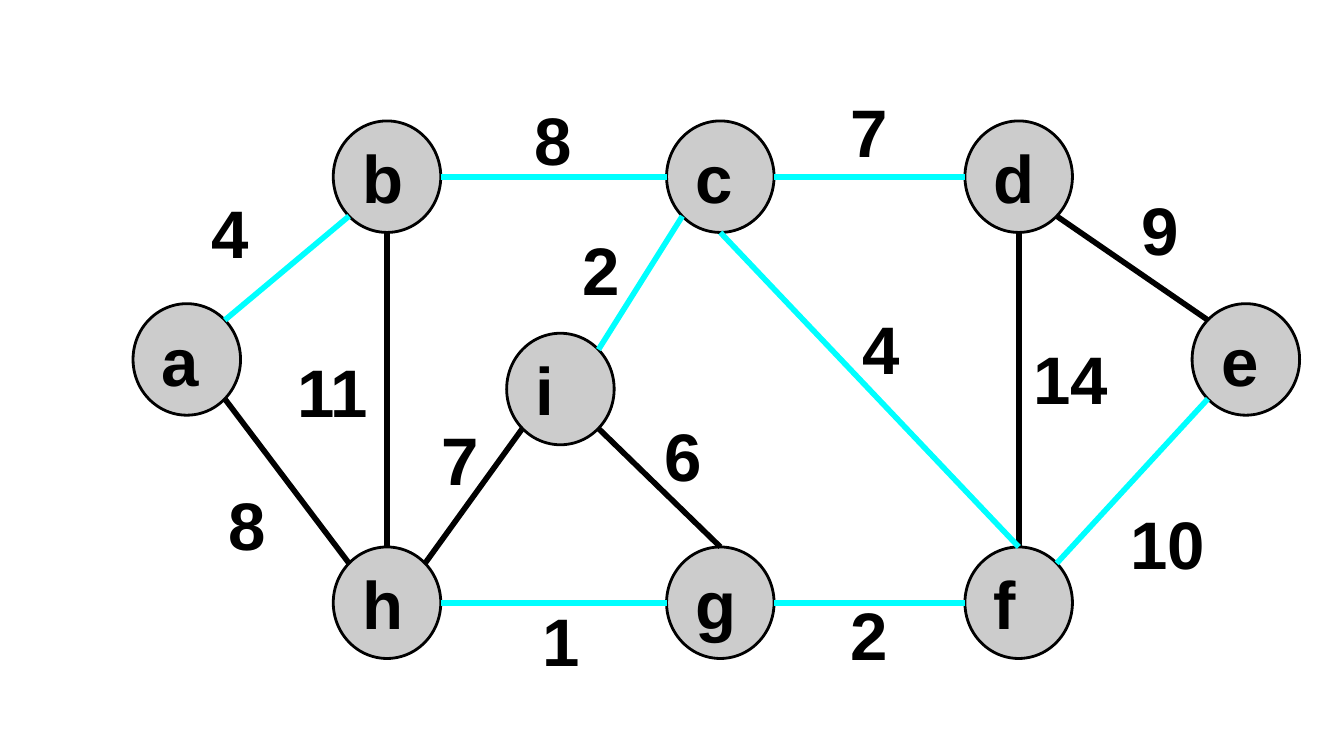
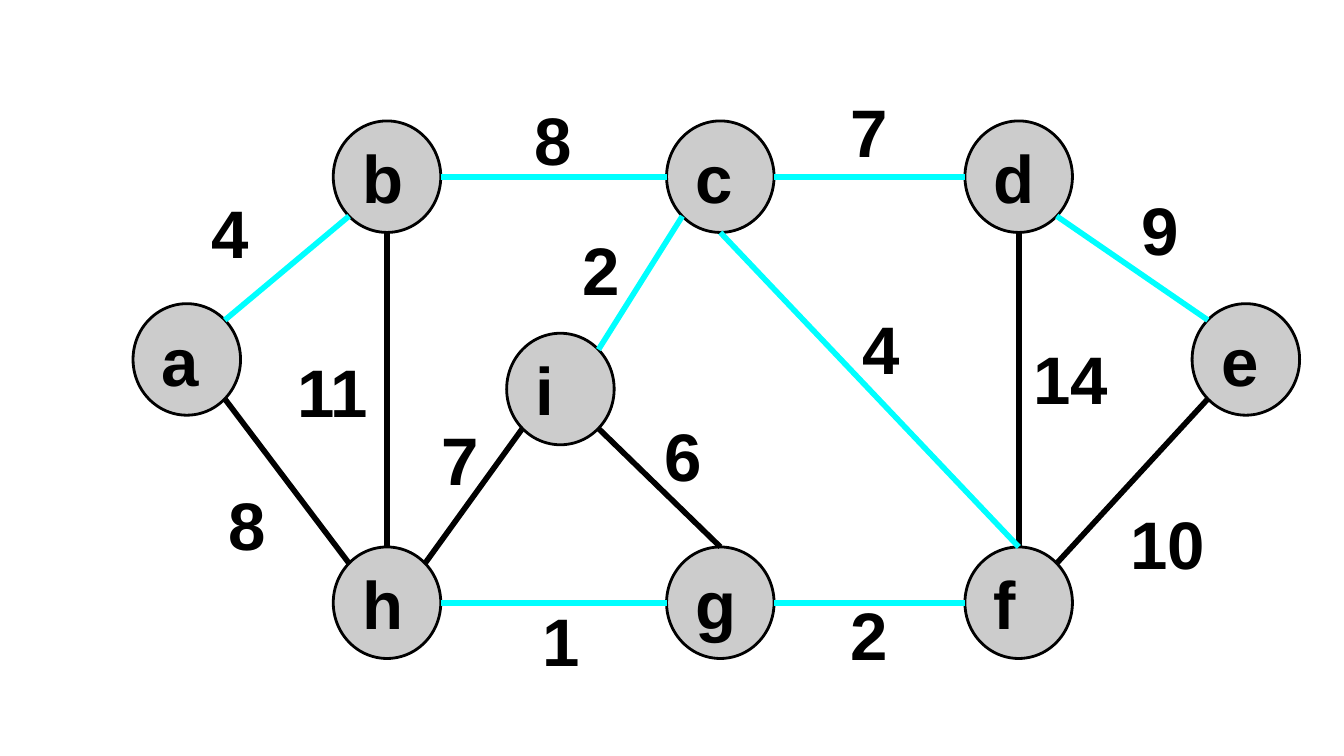
from dataclasses import dataclass
from math import sqrt

from lxml.etree import SubElement
from pptx import Presentation
from pptx.dml.color import RGBColor
from pptx.enum.shapes import MSO_CONNECTOR, MSO_SHAPE
from pptx.enum.text import MSO_ANCHOR, PP_ALIGN
from pptx.oxml.ns import qn
from pptx.util import Inches, Pt


@dataclass(frozen=True)
class Theme:
    font: str = "Arial"
    size: Pt = Pt(36)
    ink: RGBColor = RGBColor(0x00, 0x00, 0x00)
    node: RGBColor = RGBColor(0xCC, 0xCC, 0xCC)
    tree: RGBColor = RGBColor(0x00, 0xFF, 0xFF)
    outline: Pt = Pt(1.5)
    edge: Pt = Pt(3)
    inset: Inches = Inches(0.1)


THEME = Theme()
GRAPH_LEFT, GRAPH_TOP = 0.99, 0.9
NODE_W, NODE_H = 0.8, 0.83

# Columns and rows of the graph, measured from its top left corner
X_A, X_B, X_I, X_C, X_D, X_E = 0, 1.49, 2.78, 3.97, 6.19, 7.88
Y_TOP, Y_SIDE, Y_INNER, Y_BOTTOM = 0, 1.36, 1.58, 3.17
NODES = {
    "b": (X_B, Y_TOP), "a": (X_A, Y_SIDE), "h": (X_B, Y_BOTTOM),
    "g": (X_C, Y_BOTTOM), "c": (X_C, Y_TOP), "i": (X_I, Y_INNER),
    "d": (X_D, Y_TOP), "f": (X_D, Y_BOTTOM), "e": (X_E, Y_SIDE),
}

# Points on a node's rim, as fractions of its half width and half height
DIAG = sqrt(0.5)
RIM = {
    "N": (0, -1), "S": (0, 1), "W": (-1, 0), "E": (1, 0),
    "NW": (-DIAG, -DIAG), "NE": (DIAG, -DIAG),
    "SW": (-DIAG, DIAG), "SE": (DIAG, DIAG),
}

# Edge: rim point at each end, weight, box of the weight
EDGES = {
    "ab": ("NE", "SW", 4, (0.32, 0.42, 0.8, 0.69)),
    "ah": ("SE", "NW", 8, (0.6, 2.58, 0.5, 0.83)),
    "bh": ("S", "N", 11, (1.12, 1.62, 0.73, 0.77)),
    "bc": ("E", "W", 8, (2.76, -0.31, 0.73, 0.88)),
    "cd": ("E", "W", 7, (5.01, -0.27, 0.93, 0.69)),
    "de": ("SE", "NW", 9, (7.19, 0.42, 0.9, 0.77)),
    "ic": ("NE", "SW", 2, (3.12, 0.66, 0.73, 0.88)),
    "hi": ("NE", "SW", 7, (1.97, 2.07, 0.93, 0.88)),
    "hg": ("E", "W", 1, (2.72, 3.42, 0.93, 0.88)),
    "ig": ("SE", "N", 6, (3.73, 1.99, 0.73, 0.99)),
    "df": ("S", "N", 14, (6.51, 1.41, 0.93, 1)),
    "cf": ("S", "N", 4, (5.1, 1.19, 0.93, 0.99)),
    "gf": ("E", "W", 2, (5.17, 3.47, 0.62, 0.69)),
    "ef": ("SW", "NE", 10, (7.3, 2.79, 0.8, 0.69)),
}
TOP_ANCHORED = {"ab"}

SHARED_TREE = {"ab", "bc", "cd", "ic", "hg", "cf", "gf"}
SPANNING_TREES = [SHARED_TREE | {"ef"}, SHARED_TREE | {"de"}]


def set_text(shape, text, align, anchor=MSO_ANCHOR.MIDDLE, wrap=True):
    tf = shape.text_frame
    tf.word_wrap = wrap
    tf.vertical_anchor = anchor
    tf.margin_left = tf.margin_right = THEME.inset
    tf.margin_top = tf.margin_bottom = THEME.inset
    p = tf.paragraphs[0]
    p.text = text
    p.alignment = align
    p.font.name, p.font.size, p.font.bold = THEME.font, THEME.size, True
    p.font.color.rgb = THEME.ink


def add_node(s, name, x, y):
    sp = s.shapes.add_shape(
        MSO_SHAPE.OVAL, *map(Inches, (x, y, NODE_W, NODE_H)))
    sp.shadow.inherit = False
    sp.fill.solid()
    sp.fill.fore_color.rgb = THEME.node
    sp.line.color.rgb = THEME.ink
    sp.line.width = THEME.outline
    set_text(sp, name, PP_ALIGN.LEFT)


def rim_point(node, side, left, top):
    x, y = NODES[node]
    dx, dy = RIM[side]
    return (Inches(left + x + NODE_W / 2 * (1 + dx)),
            Inches(top + y + NODE_H / 2 * (1 + dy)))


def add_edge(s, start, end, color):
    cxn = s.shapes.add_connector(MSO_CONNECTOR.STRAIGHT, *start, *end)
    cxn.line.color.rgb = color
    cxn.line.width = THEME.edge
    SubElement(cxn._element.spPr, qn("a:effectLst"))


def add_weight(s, weight, x, y, w, h, anchor):
    box = s.shapes.add_textbox(*map(Inches, (x, y, w, h)))
    set_text(box, str(weight), PP_ALIGN.CENTER, anchor, wrap=False)


def draw_graph(s, left, top, tree):
    """Draw the weighted graph with the edges of tree highlighted."""
    for name, (x, y) in NODES.items():
        add_node(s, name, left + x, top + y)
    for edge, (side1, side2, _, _) in EDGES.items():
        add_edge(s, rim_point(edge[0], side1, left, top),
                 rim_point(edge[1], side2, left, top),
                 THEME.tree if edge in tree else THEME.ink)
    for edge, (_, _, weight, (x, y, w, h)) in EDGES.items():
        anchor = MSO_ANCHOR.TOP if edge in TOP_ANCHORED else MSO_ANCHOR.MIDDLE
        add_weight(s, weight, left + x, top + y, w, h, anchor)


def main():
    prs = Presentation()
    prs.slide_width = Inches(10)
    prs.slide_height = prs.slide_width * 9 // 16
    for tree in SPANNING_TREES:
        s = prs.slides.add_slide(prs.slide_layouts[6])
        draw_graph(s, GRAPH_LEFT, GRAPH_TOP, tree)
    prs.save("out.pptx")


if __name__ == "__main__":
    main()
